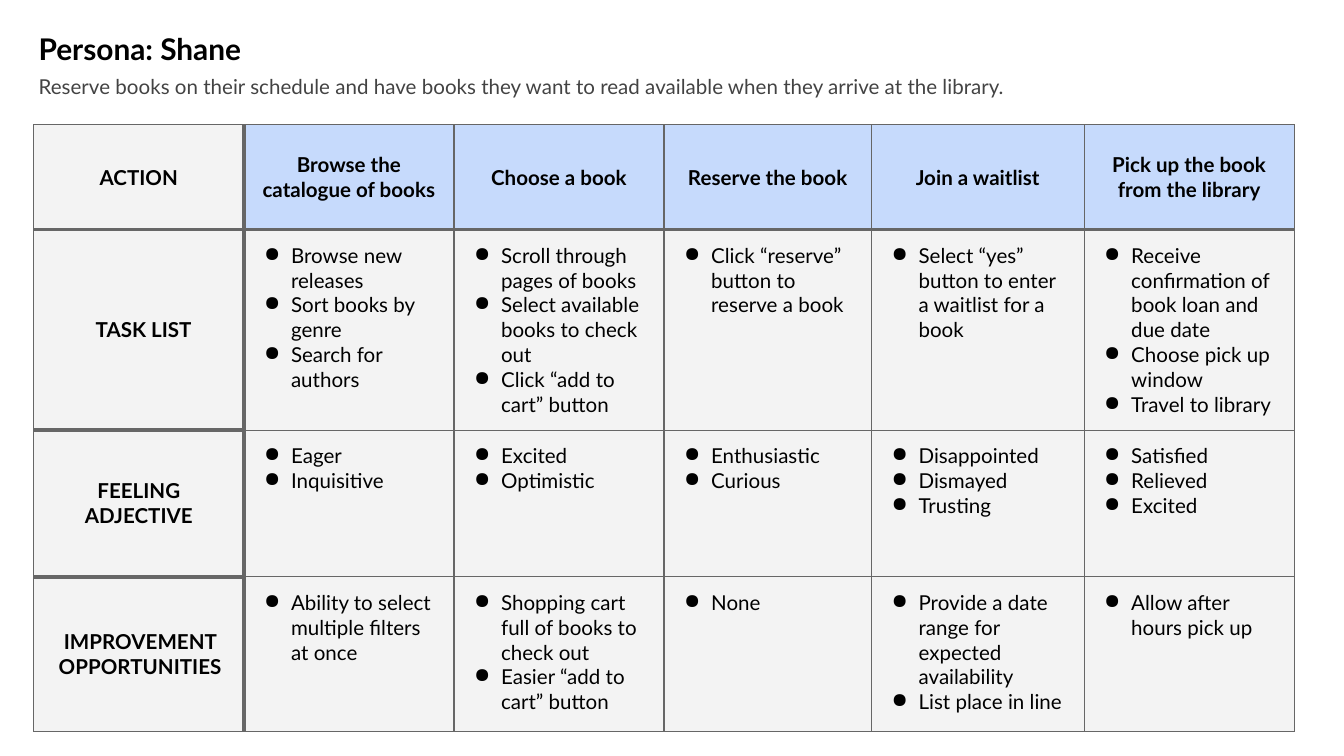
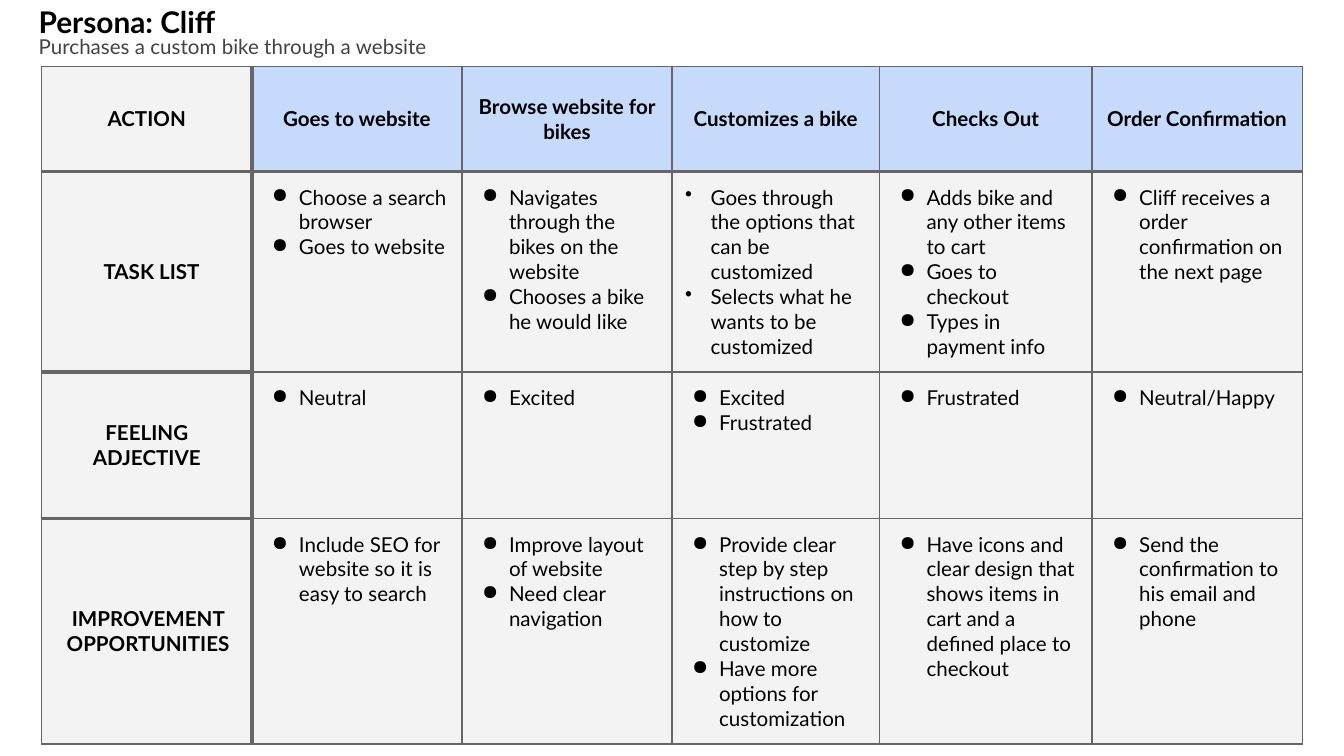
from lxml.etree import SubElement as Sub
from pptx import Presentation
from pptx.dml.color import RGBColor
from pptx.enum.text import MSO_ANCHOR as Anc, MSO_AUTO_SIZE as Fit, PP_ALIGN as Al
from pptx.oxml import parse_xml
from pptx.oxml.ns import nsdecls, qn
from pptx.util import Cm, Pt

# Shared look
BLACK = RGBColor(0x00, 0x00, 0x00)
GREY = RGBColor(0x43, 0x43, 0x43)
LINE = RGBColor(0x66, 0x66, 0x66)
PALE = RGBColor(0xF3, 0xF3, 0xF3)
BLUE = RGBColor(0xC6, 0xDA, 0xFC)
PAD = Cm(0.25)
PADS = {"margin_left": PAD, "margin_right": PAD,
        "margin_top": PAD, "margin_bottom": PAD}
FRAME = {**PADS, "word_wrap": True, "auto_size": Fit.NONE,
         "vertical_anchor": Anc.TOP}
FLUSH = {"alignment": Al.LEFT, "space_before": Pt(0)}
HEAD = {"name": "Lato", "size": Pt(16), "bold": True}
BODY = {"name": "Lato", "size": Pt(11), "bold": False}
LABEL = {**BODY, "bold": True}
COLS = [3.97, 3.97, 3.97, 3.92, 4.02, 3.97]
ROWS = [1.98, 3.66, 2.77, 2.93]
SIDE = ["ACTION", "TASK LIST", "FEELING ADJECTIVE", "IMPROVEMENT OPPORTUNITIES"]
DOT = ("●", 0.64, -0.51)     # mark, left margin, first line indent
SMALL = ("•", 0.48, -0.48)

# Content: one list per table row, one line per bullet
pages = [
    {"title": "Persona: Shane",
     "goal": "Reserve books on their schedule and have books they want to read "
             "available when they arrive at the library.",
     "tops": (0.33, 1.14), "grid": (0.64, 2.36), "marks": {},
     "rows": [
         ["Browse the catalogue of books", "Choose a book", "Reserve the book",
          "Join a waitlist", "Pick up the book from the library"],
         ["Browse new releases\nSort books by genre\nSearch for authors",
          "Scroll through pages of books\nSelect available books to check out\n"
          "Click “add to cart” button",
          "Click “reserve” button to reserve a book",
          "Select “yes” button to enter a waitlist for a book",
          "Receive confirmation of book loan and due date\n"
          "Choose pick up window\nTravel to library"],
         ["Eager\nInquisitive", "Excited\nOptimistic", "Enthusiastic\nCurious",
          "Disappointed\nDismayed\nTrusting", "Satisfied\nRelieved\nExcited"],
         ["Ability to select multiple filters at once",
          "Shopping cart full of books to check out\nEasier “add to cart” button",
          "None",
          "Provide a date range for expected availability\nList place in line",
          "Allow after hours pick up"]]},
    {"title": "Persona: Cliff",
     "goal": "Purchases a custom bike through a website",
     "tops": (-0.18, 0.39), "grid": (0.79, 1.26), "marks": {(1, 3): SMALL},
     "rows": [
         ["Goes to website", "Browse website for bikes", "Customizes a bike",
          "Checks Out", "Order Confirmation"],
         ["Choose a search browser\nGoes to website",
          "Navigates through the bikes on the website\n"
          "Chooses a bike he would like",
          "Goes through the options that can be customized\n"
          "Selects what he wants to be customized",
          "Adds bike and any other items to cart\nGoes to checkout\n"
          "Types in payment info",
          "Cliff receives a order confirmation on the next page"],
         ["Neutral", "Excited", "Excited\nFrustrated", "Frustrated",
          "Neutral/Happy"],
         ["Include SEO for website so it is easy to search",
          "Improve layout of website\nNeed clear navigation",
          "Provide clear step by step instructions on how to customize\n"
          "Have more options for customization",
          "Have icons and clear design that shows items in cart and a "
          "defined place to checkout",
          "Send the confirmation to his email and phone"]]},
]


def put(item, form):
    for key, val in form.items():
        setattr(item, key, val)


def indent(para, left, first):
    prop = para._p.get_or_add_pPr()
    prop.set("marL", str(Cm(left)))
    prop.set("indent", str(Cm(first)))
    return prop


deck = Presentation()
put(deck, {"slide_width": Cm(25.4), "slide_height": Cm(14.29)})

for page in pages:
    slide = deck.slides.add_slide(deck.slide_layouts[1])

    # Title and goal
    heads = [(slide.shapes.title, page["title"], 4.95, 1.12, HEAD, BLACK),
             (slide.placeholders[1], page["goal"], 23.57, 0.76, BODY, GREY)]
    for (box, text, wide, high, form, tint), top in zip(heads, page["tops"]):
        put(box, {"left": Cm(0.48), "top": Cm(top),
                  "width": Cm(wide), "height": Cm(high)})
        put(box.text_frame, {**FRAME, "text": text})
        para = box.text_frame.paragraphs[0]
        put(para, FLUSH)
        put(para.font, form)
        para.font.color.rgb = tint
        Sub(indent(para, 0, 0), qn("a:buNone"))

    # Journey table
    left, top = page["grid"]
    table = slide.shapes.add_table(len(ROWS), len(COLS), Cm(left), Cm(top),
                                   Cm(sum(COLS)), Cm(sum(ROWS))).table
    put(table, {"first_row": False, "horz_banding": False})
    for col, wide in zip(table.columns, COLS):
        col.width = Cm(wide)
    for row, high in zip(table.rows, ROWS):
        row.height = Cm(high)

    for r, texts in enumerate(page["rows"]):
        for c, text in enumerate([SIDE[r]] + texts):
            cell = table.cell(r, c)
            label = r == 0 or c == 0
            put(cell, {**PADS, "text": text,
                       "vertical_anchor": Anc.MIDDLE if label else Anc.TOP})
            cell.fill.solid()
            cell.fill.fore_color.rgb = BLUE if r == 0 and c else PALE

            # Labels are centred, the rest are bullet lists
            for para in cell.text_frame.paragraphs:
                put(para.font, LABEL if label else BODY)
                para.font.color.rgb = BLACK
                if label:
                    para.alignment = Al.CENTER
                else:
                    mark, inset, first = page["marks"].get((r, c), DOT)
                    prop = indent(para, inset, first)
                    Sub(Sub(prop, qn("a:buClr")), qn("a:srgbClr"), val=str(BLACK))
                    Sub(prop, qn("a:buChar"), char=mark)

            # Thick rules set off the header row and the label column
            last = len(ROWS) - 1
            thick = {"L": c == 1, "R": c == 0,
                     "T": r == 1 or (c == 0 and r > 0),
                     "B": r == 0 or (c == 0 and r < last)}
            for n, (edge, bold) in enumerate(thick.items()):
                wide = Pt(2.25 if bold else 0.75)
                cell._tc.get_or_add_tcPr().insert(n, parse_xml(
                    f'<a:ln{edge} {nsdecls("a")} w="{wide}"><a:solidFill>'
                    f'<a:srgbClr val="{LINE}"/></a:solidFill></a:ln{edge}>'))

    # Two labels sit slightly to the right
    indent(table.cell(1, 0).text_frame.paragraphs[0], 0.48, -0.3)
    table.cell(3, 0).margin_left = Cm(0.3)

deck.save("out.pptx")
